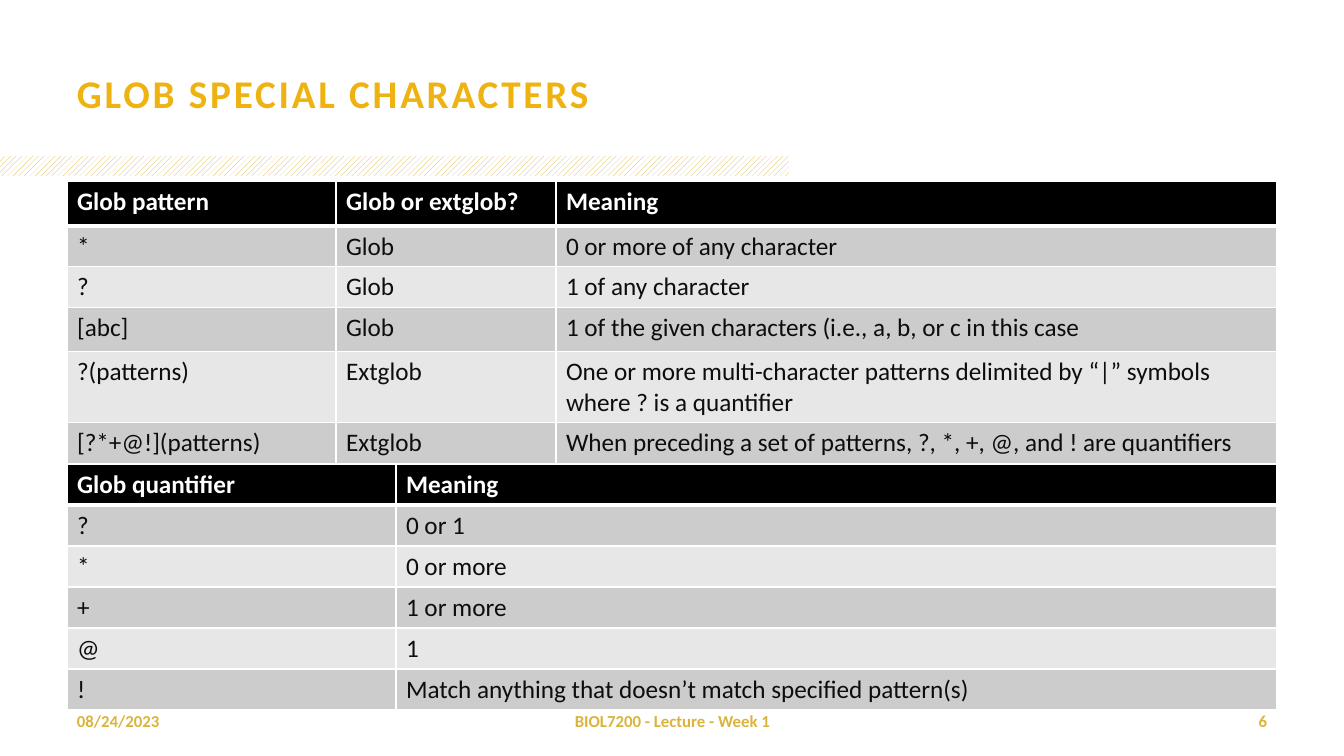
from lxml.etree import SubElement
from pptx import Presentation
from pptx.dml.color import RGBColor
from pptx.enum.dml import MSO_PATTERN
from pptx.enum.shapes import MSO_SHAPE
from pptx.enum.text import MSO_ANCHOR, PP_ALIGN
from pptx.oxml.ns import qn
from pptx.util import Emu, Pt


def px(length):
    return Emu(round(length * 914400 / 100.8))


def add_run(paragraph, text, size, color, bold):
    run = paragraph.add_run()
    run.text = text
    run.font.name = "Calibri"
    run.font.size = Pt(size)
    run.font.bold = bold
    run.font.color.rgb = RGBColor.from_string(color)
    return run


presentation = Presentation()
presentation.slide_width = px(1344)
presentation.slide_height = px(756)
slide = presentation.slides.add_slide(presentation.slide_layouts[6])

band = slide.shapes.add_shape(MSO_SHAPE.RECTANGLE, 0, px(156), px(789), px(20))
band.shadow.inherit = False
band.line.fill.background()
band.fill.patterned()
band.fill.pattern = MSO_PATTERN.WIDE_UPWARD_DIAGONAL
band.fill.fore_color.rgb = RGBColor.from_string("DAB43D")
band.fill.back_color.rgb = RGBColor.from_string("FFFFFF")

texts = [
    ("GLOB SPECIAL CHARACTERS", 67, 30, 1210, 126, PP_ALIGN.LEFT, 28, "EEB211", 200),
    ("08/24/2023", 67, 701, 313, 40, PP_ALIGN.LEFT, 12, "DAB43D", 0),
    ("BIOL7200 - Lecture - Week 1", 460, 701, 425, 40, PP_ALIGN.CENTER, 12, "DAB43D", 0),
    ("6", 964, 701, 313, 40, PP_ALIGN.RIGHT, 12, "DAB43D", 0),
]
for text, left, top, width, height, alignment, size, color, spacing in texts:
    box = slide.shapes.add_textbox(px(left), px(top), px(width), px(height))
    frame = box.text_frame
    frame.word_wrap = True
    frame.vertical_anchor = MSO_ANCHOR.MIDDLE
    paragraph = frame.paragraphs[0]
    paragraph.alignment = alignment
    run = add_run(paragraph, text, size, color, True)
    if spacing:
        run.font._element.set("spc", str(spacing))

patterns = [
    ("Glob pattern", "Glob or extglob?", "Meaning"),
    ("*", "Glob", "0 or more of any character"),
    ("?", "Glob", "1 of any character"),
    ("[abc]", "Glob", "1 of the given characters (i.e., a, b, or c in this case"),
    ("?(patterns)", "Extglob",
     "One or more multi-character patterns delimited by “|” symbols where ? is a quantifier"),
    ("[?*+@!](patterns)", "Extglob",
     "When preceding a set of patterns, ?, *, +, @, and ! are quantifiers"),
]
quantifiers = [
    ("Glob quantifier", "Meaning"),
    ("?", "0 or 1"),
    ("*", "0 or more"),
    ("+", "1 or more"),
    ("@", "1"),
    ("!", "Match anything that doesn’t match specified pattern(s)"),
]
tables = [
    (patterns, 181, [269, 220, 721], [45, 40, 41, 44, 71, 42]),
    (quantifiers, 464, [329, 881], [41] * 6),
]
for rows, top, widths, heights in tables:
    table = slide.shapes.add_table(
        len(rows), len(widths), px(67), px(top), px(sum(widths)), px(sum(heights))
    ).table
    for column, width in zip(table.columns, widths):
        column.width = px(width)
    for row, height in zip(table.rows, heights):
        row.height = px(height)
    for row_index, row in enumerate(rows):
        header = row_index == 0
        fill = "000000" if header else ("E7E7E7", "CCCCCC")[row_index % 2]
        for column_index, text in enumerate(row):
            cell = table.cell(row_index, column_index)
            properties = cell._tc.get_or_add_tcPr()
            for side in ("L", "R", "T", "B"):
                thick = header and side == "B" or row_index == 1 and side == "T"
                border = SubElement(properties, qn(f"a:ln{side}"), w=str(Pt(3 if thick else 1)))
                SubElement(SubElement(border, qn("a:solidFill")), qn("a:srgbClr"), val="FFFFFF")
            cell.fill.solid()
            cell.fill.fore_color.rgb = RGBColor.from_string(fill)
            add_run(cell.text_frame.paragraphs[0], text, 18,
                    "FFFFFF" if header else "0D0D0D", header)

presentation.save("out.pptx")
